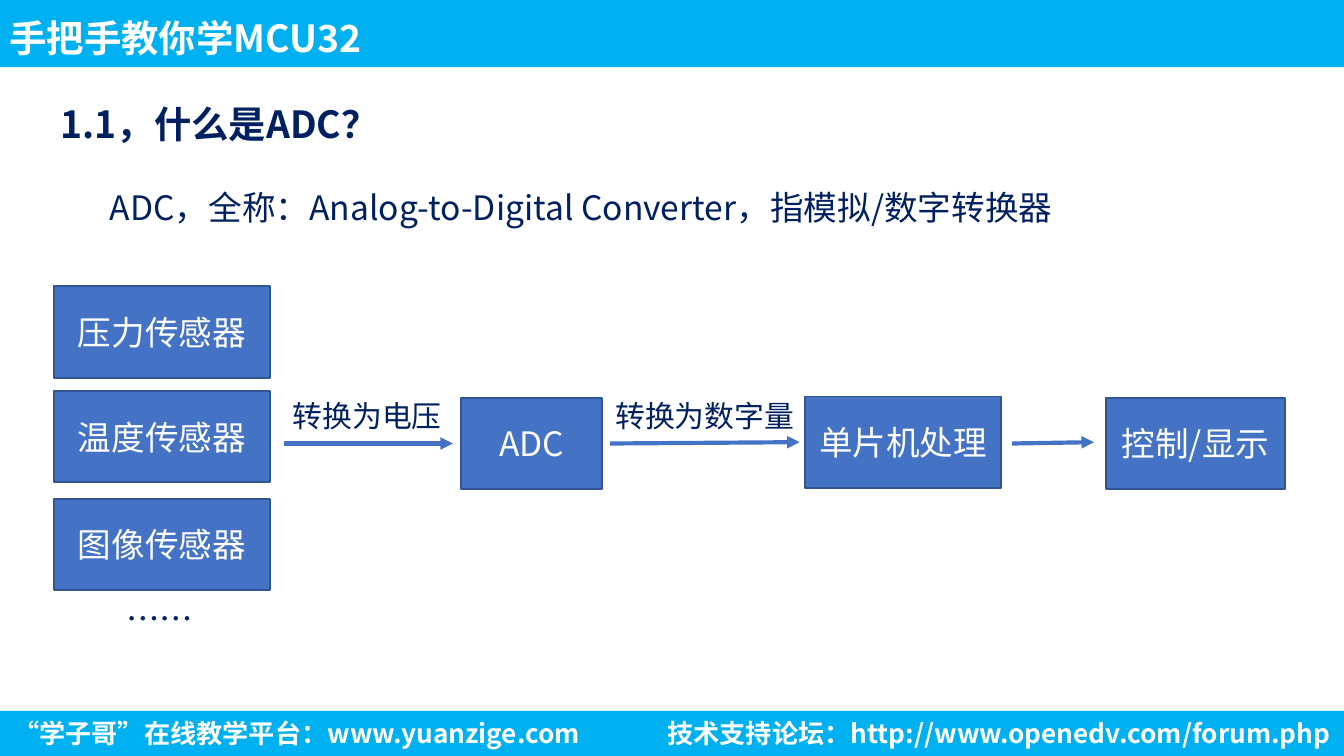
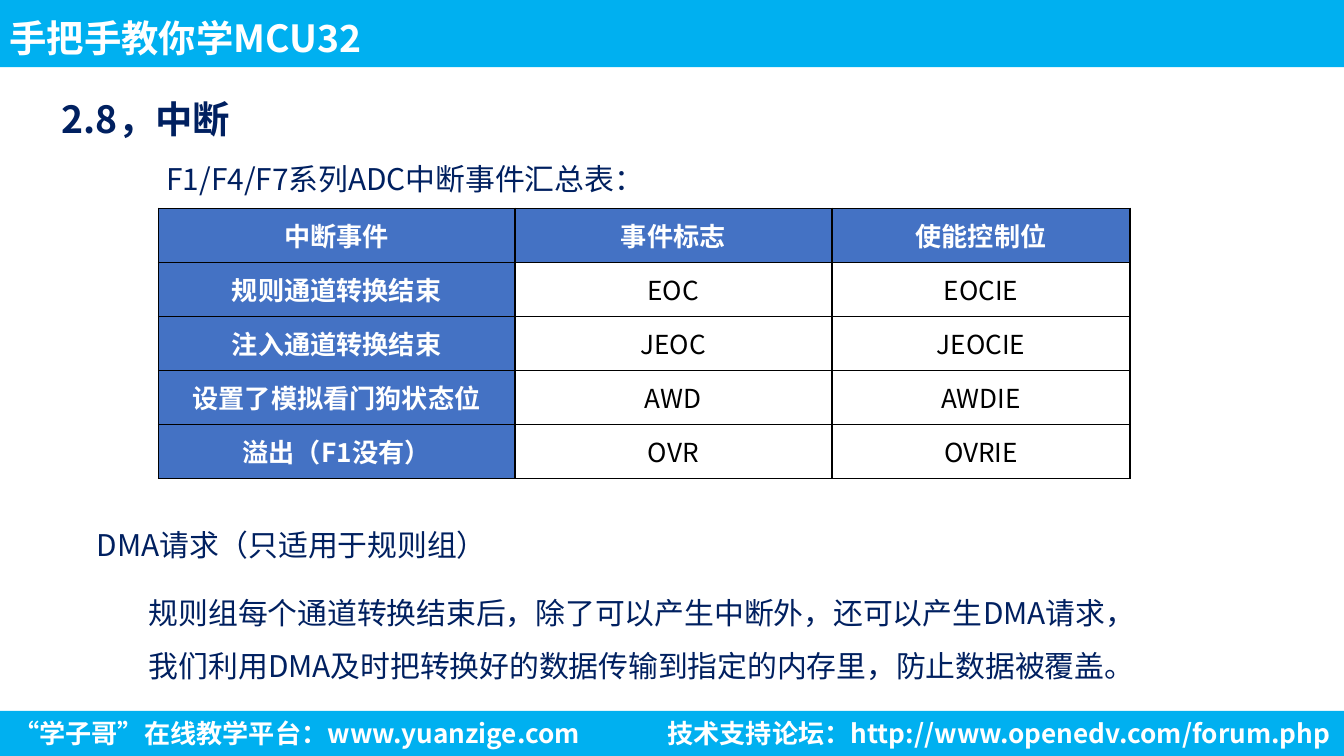
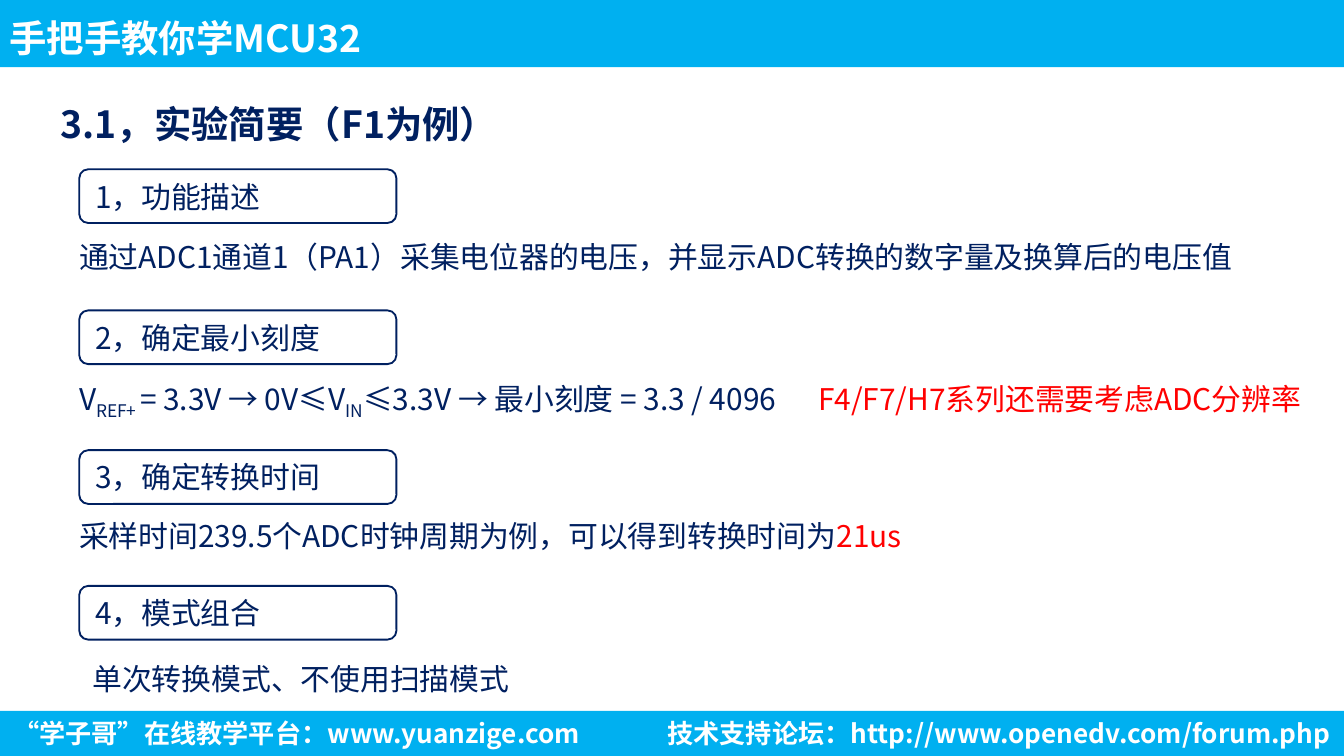
"""Build three lesson slides about analog-to-digital conversion."""
from dataclasses import dataclass
from itertools import product
from typing import NamedTuple

from lxml.etree import SubElement as Sub
from pptx import Presentation
from pptx.dml.color import RGBColor as Rgb
from pptx.enum.shapes import MSO_CONNECTOR as Link, MSO_SHAPE as Kind
from pptx.enum.text import MSO_ANCHOR as Anchor, MSO_AUTO_SIZE as Fit, PP_ALIGN as Align
from pptx.oxml.ns import qn
from pptx.oxml.xmlchemy import OxmlElement as Node
from pptx.slide import Slide
from pptx.util import Inches, Pt

FONT = "Noto Sans CJK SC"
HUES = {
    "band": "00B0F0",
    "navy": "002060",
    "box": "4472C4",
    "edge": "325491",
    "white": "FFFFFF",
    "black": "000000",
    "red": "FF0000",
}
WIDE = 10
HIGH = WIDE * 9 / 16
FOOT = 5.29
PAD = (0.1, 0.05)


class Run(NamedTuple):
    text: str
    hue: str = "navy"
    size: int = 16
    bold: bool = False
    base: int = 0


@dataclass
class Note:
    left: float
    top: float
    width: float
    height: float
    runs: list[Run]
    align: Align = Align.LEFT
    space: float = 1.0
    pad: tuple[float, float] = PAD


@dataclass
class Box:
    left: float
    top: float
    width: float
    height: float
    fill: str
    edge: str | None = None
    run: Run | None = None
    kind: Kind = Kind.RECTANGLE
    align: Align = Align.CENTER


class Arrow(NamedTuple):
    left: float
    start: float
    right: float
    end: float


class Part(NamedTuple):
    top: float
    label: str
    left: float
    text_top: float
    width: float
    runs: list[Run]


def hue(name: str) -> Rgb:
    """Look up a colour by name."""
    return Rgb.from_string(HUES[name])


def add_runs(para, runs: list[Run], align: Align) -> None:
    """Fill a paragraph run by run."""
    para.alignment = align
    for item in runs:
        run = para.add_run()
        run.text = item.text
        font = run.font
        font.name, font.size, font.bold = FONT, Pt(item.size), item.bold
        font.color.rgb = hue(item.hue)
        props = run._r.get_or_add_rPr()
        Sub(props, qn("a:ea")).set("typeface", FONT)
        if item.base:
            props.set("baseline", str(item.base * 1000))


def add_note(slide: Slide, note: Note, middle: bool = False) -> None:
    """Draw a text box."""
    area = map(Inches, (note.left, note.top, note.width, note.height))
    frame = slide.shapes.add_textbox(*area).text_frame
    frame.word_wrap = True
    frame.auto_size = Fit.NONE if middle else Fit.SHAPE_TO_FIT_TEXT
    frame.vertical_anchor = Anchor.MIDDLE if middle else Anchor.TOP
    side, edge = map(Inches, note.pad)
    frame.margin_left = frame.margin_right = side
    frame.margin_top = frame.margin_bottom = edge
    para = frame.paragraphs[0]
    if note.space != 1:
        para.line_spacing = note.space
    add_runs(para, note.runs, note.align)


def add_box(slide: Slide, box: Box) -> None:
    """Draw a filled shape with an optional label."""
    area = map(Inches, (box.left, box.top, box.width, box.height))
    shape = slide.shapes.add_shape(box.kind, *area)
    shape.shadow.inherit = False
    shape.fill.solid()
    shape.fill.fore_color.rgb = hue(box.fill)
    if box.edge:
        shape.line.color.rgb = hue(box.edge)
        shape.line.width = Pt(1)
    else:
        shape.line.fill.background()
    if box.run:
        frame = shape.text_frame
        frame.word_wrap = True
        frame.vertical_anchor = Anchor.MIDDLE
        add_runs(frame.paragraphs[0], [box.run], box.align)


def add_arrow(slide: Slide, arrow: Arrow) -> None:
    """Draw a straight arrow."""
    wire = slide.shapes.add_connector(Link.STRAIGHT, *map(Inches, arrow))
    wire.line.color.rgb = hue("box")
    wire.line.width = Pt(2.25)
    Sub(wire.line._get_or_add_ln(), qn("a:tailEnd")).set("type", "triangle")
    Sub(wire._element.spPr, qn("a:effectLst"))


def add_edges(cell) -> None:
    """Give a table cell thin black borders."""
    props = cell._tc.get_or_add_tcPr()
    for index, side in enumerate("LRTB"):
        line = Node(f"a:ln{side}")
        line.set("w", str(Pt(1)))
        fill = Sub(line, qn("a:solidFill"))
        Sub(fill, qn("a:srgbClr")).set("val", HUES["black"])
        props.insert(index, line)


def add_grid(slide: Slide, rows: list[tuple[str, ...]], wide: list[float],
             left: float, top: float, high: float) -> None:
    """Draw a table with a blue first row and first column."""
    area = map(Inches, (left, top, sum(wide), high))
    table = slide.shapes.add_table(len(rows), len(wide), *area).table
    table.first_row = table.horz_banding = False
    for col, width in zip(table.columns, wide):
        col.width = Inches(width)
    for row, col in product(range(len(rows)), range(len(wide))):
        head = row == 0 or col == 0
        cell = table.cell(row, col)
        cell.fill.solid()
        cell.fill.fore_color.rgb = hue("box" if head else "white")
        cell.vertical_anchor = Anchor.MIDDLE
        cell.margin_left = cell.margin_right = Inches(0.07)
        cell.margin_top = cell.margin_bottom = 0
        run = Run(rows[row][col], "white" if head else "black", 14, head)
        add_runs(cell.text_frame.paragraphs[0], [run], Align.CENTER)
        add_edges(cell)


def add_page(deck, title: str, left: float = 0.4, top: float = 0.57,
             width: float = 5.24) -> Slide:
    """Add a slide with its bands, footers and title."""
    slide = deck.slides.add_slide(deck.slide_layouts[6])
    add_box(slide, Box(0, FOOT, WIDE, 0.34, "band"))
    add_box(slide, Box(0, 0, WIDE, 0.5, "band"))
    name = Run("手把手教你学MCU32", "white", 20, True)
    add_note(slide, Note(0, 0, 6.45, 0.5, [name], space=1.2, pad=(0.07, 0.04)), True)
    site = Run("“学子哥”在线教学平台：www.yuanzige.com", "white", 14, True)
    add_note(slide, Note(0, FOOT, 5.88, 0.34, [site]))
    forum = Run("技术支持论坛：http://www.openedv.com/forum.php", "white", 14, True)
    add_note(slide, Note(3.63, FOOT, 6.37, 0.34, [forum], Align.RIGHT))
    head = Run(title, size=20, bold=True)
    add_note(slide, Note(left, top, width, 0.5, [head], space=1.5, pad=(0.05, 0.02)))
    return slide


def draw_flow(deck) -> None:
    """Show the path from sensor to display."""
    slide = add_page(deck, "1.1，什么是ADC？")
    full = "ADC，全称：Analog-to-Digital Converter，指模拟/数字转换器"
    add_note(slide, Note(0.72, 1.34, 8.74, 0.4, [Run(full, size=18)]))
    steps = [
        (0.4, 2.13, 1.61, "压力传感器"),
        (0.4, 2.91, 1.61, "温度传感器"),
        (0.4, 3.71, 1.61, "图像传感器"),
        (3.43, 2.96, 1.05, "ADC"),
        (5.99, 2.95, 1.46, "单片机处理"),
        (8.23, 2.96, 1.33, "控制/显示"),
    ]
    for left, top, width, text in steps:
        run = Run(text, "white", 18)
        add_box(slide, Box(left, top, width, 0.68, "box", "edge", run))
    for arrow in (Arrow(2.11, 3.3, 3.37, 3.3), Arrow(4.54, 3.3, 5.95, 3.29),
                  Arrow(7.53, 3.3, 8.14, 3.29)):
        add_arrow(slide, arrow)
    add_note(slide, Note(0.84, 4.4, 0.99, 0.4, [Run("……", size=18)]))
    for left, width, text in ((2.08, 1.59, "转换为电压"), (4.48, 2.08, "转换为数字量")):
        add_note(slide, Note(left, 2.91, width, 0.37, [Run(text)]))


def draw_events(deck) -> None:
    """Show the interrupt table and the DMA text."""
    slide = add_page(deck, "2.8，中断", 0.41, 0.53, 6.45)
    rows = [
        ("中断事件", "事件标志", "使能控制位"),
        ("规则通道转换结束", "EOC", "EOCIE"),
        ("注入通道转换结束", "JEOC", "JEOCIE"),
        ("设置了模拟看门狗状态位", "AWD", "AWDIE"),
        ("溢出（F1没有）", "OVR", "OVRIE"),
    ]
    add_grid(slide, rows, [2.65, 2.36, 2.22], 1.18, 1.55, 2.01)
    body = ("规则组每个通道转换结束后，除了可以产生中断外，还可以产生DMA请求，"
            "我们利用DMA及时把转换好的数据传输到指定的内存里，防止数据被覆盖。")
    add_note(slide, Note(1.01, 4.24, 7.62, 0.87, [Run(body)], space=1.5))
    add_note(slide, Note(0.62, 3.87, 8.01, 0.37, [Run("DMA请求（只适用于规则组）")]))
    lead = Run("F1/F4/F7系列ADC中断事件汇总表：")
    add_note(slide, Note(1.14, 1.15, 8.01, 0.37, [lead]))


def draw_lab(deck) -> None:
    """Show the four parts of the lab."""
    slide = add_page(deck, "3.1，实验简要（F1为例）")
    goal = "通过ADC1通道1（PA1）采集电位器的电压，并显示ADC转换的数字量及换算后的电压值"
    scale = [
        Run("V"),
        Run("REF+ ", base=-25),
        Run("= 3.3V → 0V≤V"),
        Run("IN", base=-25),
        Run("≤3.3V → 最小刻度 = 3.3 / 4096"),
    ]
    time = [Run("采样时间239.5个ADC时钟周期为例，可以得到转换时间为"), Run("21us", "red")]
    parts = [
        Part(1.26, "1，功能描述", 0.49, 1.73, 9.37, [Run(goal)]),
        Part(2.31, "2，确定最小刻度", 0.49, 2.78, 7.44, scale),
        Part(3.35, "3，确定转换时间", 0.49, 3.8, 7.44, time),
        Part(4.36, "4，模式组合", 0.59, 4.87, 7.44, [Run("单次转换模式、不使用扫描模式")]),
    ]
    for part in parts:
        add_box(slide, Box(0.59, part.top, 2.36, 0.4, "white", "navy", Run(part.label),
                           Kind.ROUNDED_RECTANGLE, Align.LEFT))
        add_note(slide, Note(part.left, part.text_top, part.width, 0.37, part.runs))
    hint = Run("F4/F7/H7系列还需要考虑ADC分辨率", "red")
    add_note(slide, Note(5.99, 2.78, 4.01, 0.37, [hint]))


def main() -> None:
    """Build and save the deck."""
    deck = Presentation()
    deck.slide_width, deck.slide_height = Inches(WIDE), Inches(HIGH)
    for draw in (draw_flow, draw_events, draw_lab):
        draw(deck)
    deck.save("out.pptx")


if __name__ == "__main__":
    main()
